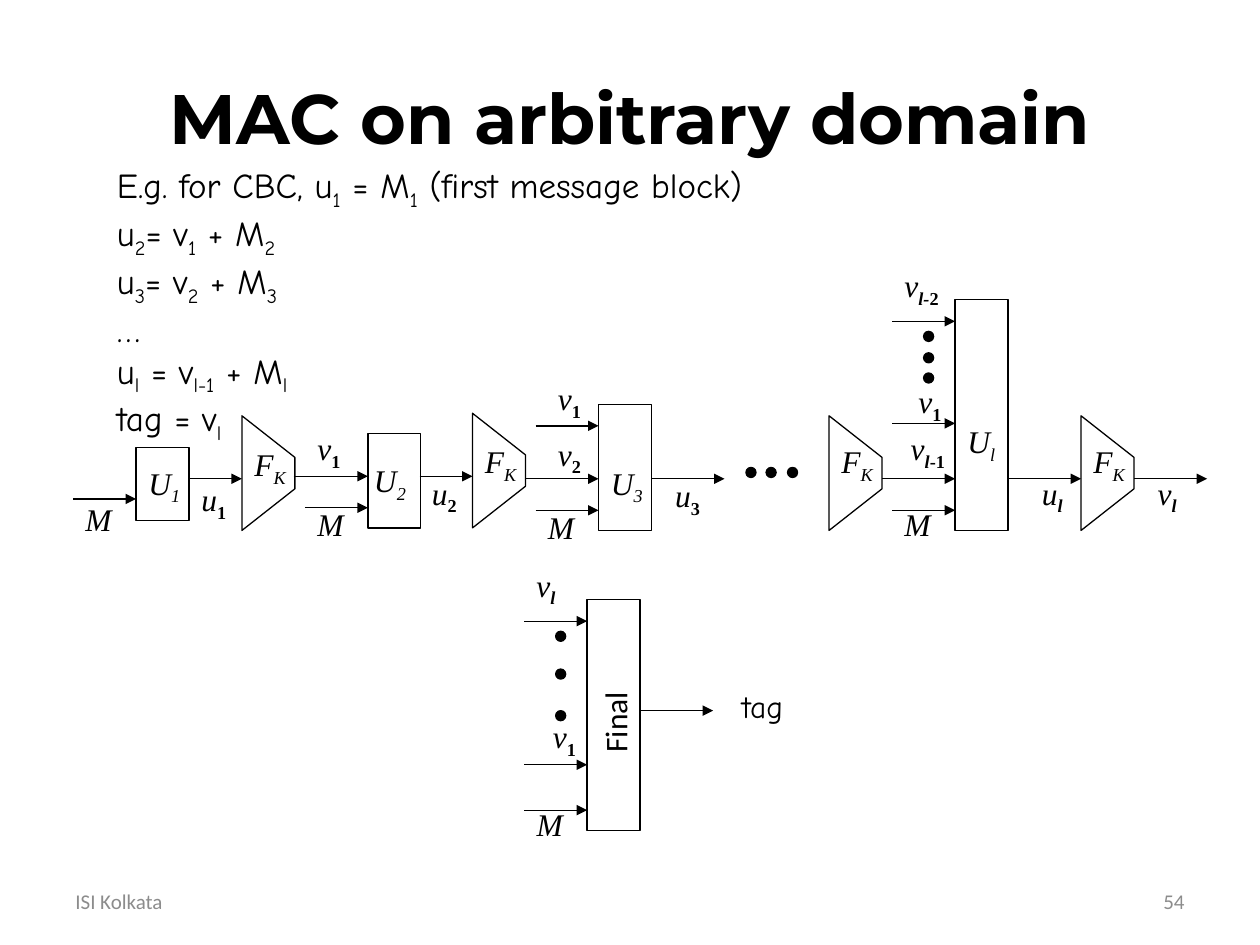
from pptx import Presentation
from pptx.dml.color import RGBColor
from pptx.enum.shapes import MSO_CONNECTOR as Link, MSO_SHAPE as Kind
from pptx.enum.text import MSO_ANCHOR as Anchor, MSO_AUTO_SIZE as Fit, PP_ALIGN as Align
from pptx.oxml.ns import qn
from pptx.util import Cm, Pt
from lxml import etree

BLACK = RGBColor(0, 0, 0)
GREY = RGBColor(0x8C, 0x8C, 0x8C)

MATH = {"name": "Times New Roman", "size": Pt(18), "italic": True}
NOTE = {"name": "Comic Neue", "size": Pt(20)}
TAG = {"name": "Comic Neue", "size": Pt(18)}
SIDE = {"name": "Calibri", "size": Pt(18)}
FOOT = {"name": "Calibri", "size": Pt(12)}
HEAD = {"name": "Montserrat", "size": Pt(40), "bold": True}

WIDE = 0.42  # width of every block
DOT = 0.08

BODY = [
    "E.g. for CBC, u|1| = M|1| (first message block)",
    "u|2|= v|1| + M|2",
    "u|3|= v|2| + M|3",
    "…",
    "u|l| = v|l-1| + M|l",
    "tag = v|l",
]
# left, top, height
BLOCKS = [(1.08, 3.55, 0.58), (2.92, 3.44, 0.75), (4.75, 3.21, 1),
          (7.58, 2.38, 1.83), (4.66, 4.76, 1.83)]
# left, top
FUNCS = [(1.92, 3.3), (3.75, 3.28), (6.58, 3.3), (8.58, 3.3)]
# from x, to x, y
ARROWS = [
    (0.58, 1.08, 3.96), (1.5, 1.92, 3.8),
    (2.33, 2.92, 3.78), (2.42, 2.92, 4.03), (3.33, 3.75, 3.78),
    (4.25, 4.75, 3.38), (4.17, 4.75, 3.8), (4.25, 4.75, 4.05), (5.17, 5.75, 3.8),
    (7.08, 7.58, 2.55), (7.08, 7.58, 3.36), (7, 7.58, 3.8), (7.08, 7.58, 4.05),
    (8, 8.58, 3.8), (9, 9.58, 3.8),
    (4.16, 4.66, 4.93), (4.16, 4.66, 6.07), (4.16, 4.66, 6.43), (5.08, 5.66, 5.64),
]
DOTS = [(5.92, 3.71), (6.08, 3.71), (6.25, 3.71),
        (7.33, 2.63), (7.33, 2.8), (7.33, 2.96),
        (4.41, 5.01), (4.41, 5.31), (4.41, 5.64)]
# text with subscripts between bars, left, top, width
LABELS = [
    ("M", 0.58, 3.92, 0.41), ("U|1", 1.08, 3.63, 0.47),
    ("u|1", 1.5, 3.76, 0.41), ("F|K", 1.92, 3.48, 0.47),
    ("M", 2.42, 3.96, 0.41), ("v|1", 2.42, 3.36, 0.4), ("U|2", 2.87, 3.61, 0.47),
    ("u|2", 3.33, 3.71, 0.41), ("F|K", 3.75, 3.46, 0.47),
    ("M", 4.25, 3.98, 0.41), ("v|1", 4.33, 2.96, 0.4), ("v|2", 4.33, 3.4, 0.4),
    ("U|3", 4.75, 3.63, 0.47), ("u|3", 5.26, 3.73, 0.41),
    ("F|K", 6.58, 3.46, 0.47), ("M", 7.08, 3.96, 0.41),
    ("v|l||-1", 7.13, 3.36, 0.5), ("v|1", 7.19, 2.98, 0.4),
    ("v|l-||2", 7.08, 2.06, 0.5), ("U|l", 7.58, 3.3, 0.43),
    ("u|l", 8.17, 3.71, 0.37), ("F|K", 8.58, 3.46, 0.47), ("v|l", 9.09, 3.71, 0.36),
    ("v|l", 4.16, 4.44, 0.36), ("v|1", 4.29, 5.64, 0.4), ("M", 4.16, 6.34, 0.41),
]


def inch(num):
    return Cm(num * 2.54)


def ink(shape, fill=None):
    shape.shadow.inherit = False
    shape.line.color.rgb = BLACK
    shape.line.width = Pt(0.75)
    if fill is None:
        shape.fill.background()
    else:
        shape.fill.solid()
        shape.fill.fore_color.rgb = fill


def shape(slide, kind, x, y, w, h, fill=None):
    ink(slide.shapes.add_shape(kind, inch(x), inch(y), inch(w), inch(h)), fill)


def funnel(slide, x, y):
    pen = slide.shapes.build_freeform(inch(x), inch(y))
    pen.add_line_segments([(inch(x + dx), inch(y + dy)) for dx, dy in
                           [(WIDE, 0.33), (WIDE, 0.58), (0, 0.91)]], close=True)
    ink(pen.convert_to_shape())


def arrow(slide, x, end, y):
    line = slide.shapes.add_connector(Link.STRAIGHT, inch(x), inch(y), inch(end), inch(y))
    line.line.color.rgb = BLACK
    line.line.width = Pt(0.75)
    etree.SubElement(line.line._get_or_add_ln(), qn("a:tailEnd"), type="triangle")
    etree.SubElement(line._element.spPr, qn("a:effectLst"))


def write(para, text, form, color=BLACK):
    """Every second part of the text between bars is a subscript."""
    for num, part in enumerate(text.split("|")):
        if not part:
            continue
        run = para.add_run()
        run.text = part
        style = dict(form)
        if num % 2:
            run._r.get_or_add_rPr().set("baseline", "-25000")
            if form is MATH and text[0] in "uv":
                style.update(bold=True, italic=part.startswith("l"))
        for key, value in style.items():
            setattr(run.font, key, value)
        run.font.color.rgb = color


def label(slide, lines, form, x, y, w, h=0.4, turn=0):
    box = slide.shapes.add_textbox(inch(x), inch(y), inch(w), inch(h))
    box.rotation = turn
    frame = box.text_frame
    frame.word_wrap = False
    frame.auto_size = Fit.SHAPE_TO_FIT_TEXT
    for num, text in enumerate(lines):
        write(frame.add_paragraph() if num else frame.paragraphs[0], text, form)


def banner(slide, text, form, x, y, w, h, align, color=BLACK):
    frame = slide.shapes.add_textbox(inch(x), inch(y), inch(w), inch(h)).text_frame
    frame.word_wrap = True
    frame.vertical_anchor = Anchor.MIDDLE
    frame.paragraphs[0].alignment = align
    write(frame.paragraphs[0], text, form, color)


def main():
    deck = Presentation()
    deck.slide_width, deck.slide_height = inch(10), inch(7.5)
    slide = deck.slides.add_slide(deck.slide_layouts[6])

    # Chain of blocks and the final block
    for x, y, h in BLOCKS:
        shape(slide, Kind.RECTANGLE, x, y, WIDE, h)
    for x, y in FUNCS:
        funnel(slide, x, y)
    for x, end, y in ARROWS:
        arrow(slide, x, end, y)
    for x, y in DOTS:
        shape(slide, Kind.OVAL, x, y, DOT, DOT, BLACK)

    # Labels of the diagram
    for text, x, y, w in LABELS:
        label(slide, [text], MATH, x, y, w)
    label(slide, ["tag"], TAG, 5.79, 5.4, 0.58)
    label(slide, ["Final"], SIDE, 4.51, 5.5, 0.74, turn=270)

    # Title, formulas and footer
    banner(slide, "MAC on arbitrary domain", HEAD, 0.5, 0.3, 9, 1.25, Align.CENTER)
    label(slide, BODY, NOTE, 0.83, 1.25, 5.75, 2.12)
    banner(slide, "ISI Kolkata", FOOT, 0.5, 6.95, 2.33, 0.4, Align.LEFT, GREY)
    banner(slide, "54", FOOT, 7.17, 6.95, 2.33, 0.4, Align.RIGHT, GREY)

    deck.save("out.pptx")


if __name__ == "__main__":
    main()
